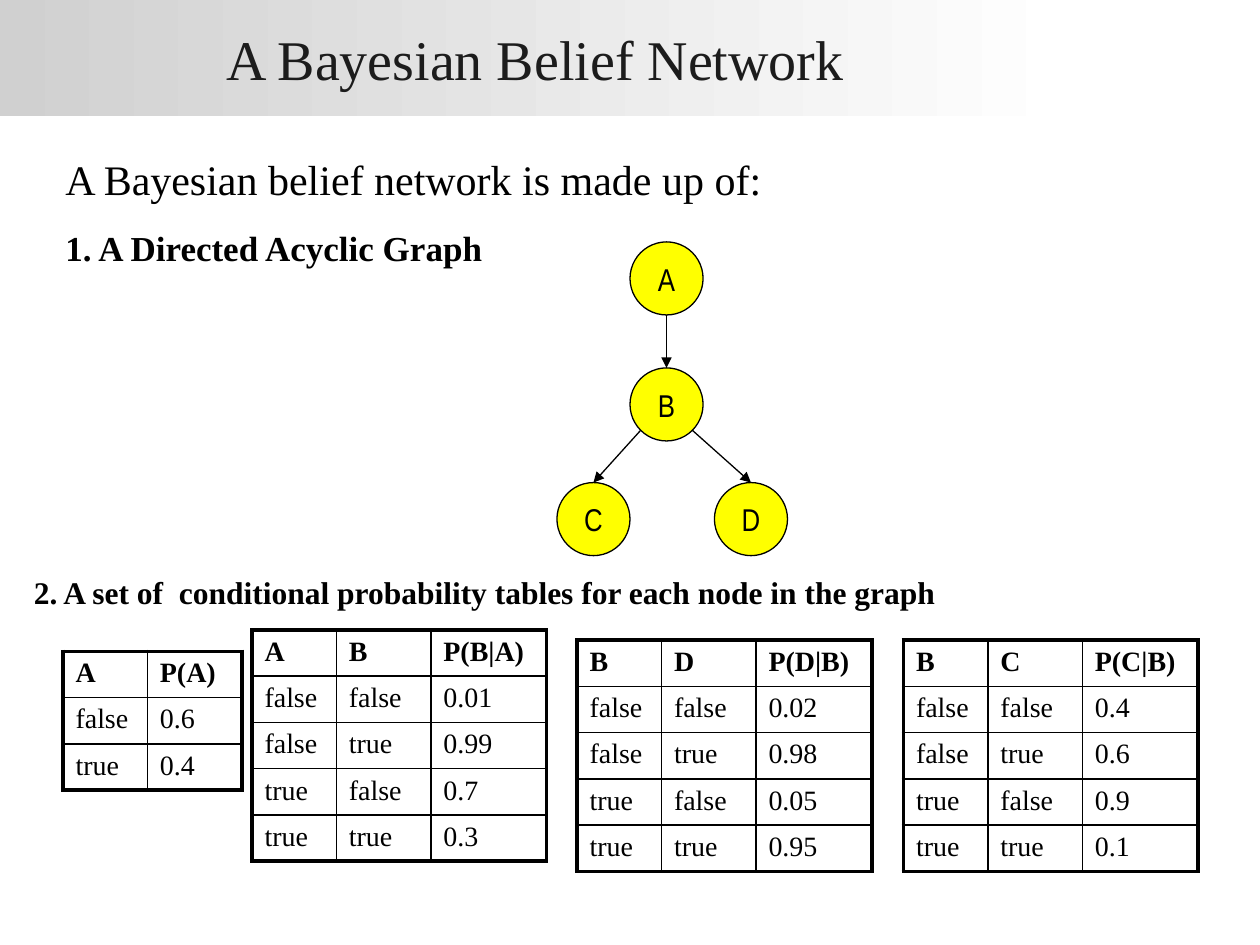
from math import cos, pi

from lxml import etree
from pptx import Presentation
from pptx.dml.color import RGBColor
from pptx.enum.shapes import MSO_CONNECTOR, MSO_SHAPE
from pptx.enum.text import MSO_ANCHOR, PP_ALIGN
from pptx.oxml.ns import qn
from pptx.util import Inches, Pt

LINE, OVAL = MSO_CONNECTOR.STRAIGHT, MSO_SHAPE.OVAL
MIDDLE, CENTER = MSO_ANCHOR.MIDDLE, PP_ALIGN.CENTER

BLACK = RGBColor(0x00, 0x00, 0x00)
WHITE = RGBColor(0xFF, 0xFF, 0xFF)
GREY = RGBColor(0xD0, 0xD0, 0xD0)
INK = RGBColor(0x1C, 0x1C, 0x1C)
YELLOW = RGBColor(0xFF, 0xFF, 0x00)

SERIF, NARROW = "Times New Roman", "Arial Narrow"
NODE = 0.58
COLUMNS = (0.67, 0.75, 0.92)
ROW = 0.35
THICK, THIN = 2.25, 1

NODES = {"A": (5, 1.92), "B": (5, 2.92), "C": (4.42, 3.83), "D": (5.67, 3.83)}
EDGES = [("A", "B", 0), ("B", "C", -1), ("B", "D", 1)]
PARENT_STATES = ("false", "false", "true", "true")
CHILD_STATES = ("false", "true", "false", "true")


def set_text(tf, text, size, color=BLACK, font=SERIF, bold=False, align=None):
    p = tf.paragraphs[0]
    p.alignment = align
    r = p.add_run()
    r.text = text
    formats = {"size": Pt(size), "name": font, "bold": bold}
    for name, value in formats.items():
        setattr(r.font, name, value)
    r.font.color.rgb = color


def set_box(shape, *box):
    for name, value in zip(("left", "top", "width", "height"), box):
        setattr(shape, name, Inches(value))


def add_title(s, text):
    title = s.shapes.title
    set_box(title, 0, 0, 8.5, 0.92)
    title.fill.gradient()
    title.fill.gradient_angle = 0
    for stop, color in zip(title.fill.gradient_stops, (GREY, WHITE)):
        stop.color.rgb = color
    tf = title.text_frame
    tf.vertical_anchor = MIDDLE
    for side, inset in zip(("left", "top", "right", "bottom"), (0.02, 0.01) * 2):
        setattr(tf, f"margin_{side}", Inches(inset))
    set_text(tf, text, 32, INK, align=CENTER)


def add_text(s, text, box, size, bold=False):
    tf = s.shapes.add_textbox(*map(Inches, box)).text_frame
    tf.word_wrap = True
    set_text(tf, text, size, bold=bold)


def add_node(s, name, left, top):
    sp = s.shapes.add_shape(OVAL, *map(Inches, (left, top, NODE, NODE)))
    sp.shadow.inherit = False
    sp.fill.solid()
    sp.fill.fore_color.rgb = YELLOW
    sp.line.color.rgb = BLACK
    sp.line.width = Pt(0.75)
    sp.text_frame.word_wrap = False
    sp.text_frame.vertical_anchor = MIDDLE
    set_text(sp.text_frame, name, 18, font=NARROW, align=CENTER)
    return sp


def add_edge(s, parent, child, side):
    """Arrow from the parent's bottom (side 0) or lower diagonal (-1, 1) to the child's top."""
    radius = parent.width / 2
    reach = radius * cos(pi / 4)
    x = int(parent.left + radius + side * reach)
    y = int(parent.top + radius + (reach if side else radius))
    edge = s.shapes.add_connector(LINE, x, y, x, y)
    edge.end_connect(child, 0)
    edge.line.color.rgb = BLACK
    edge.line.width = Pt(0.75)
    etree.SubElement(edge.line._get_or_add_ln(), qn("a:tailEnd"), type="triangle")
    etree.SubElement(edge._element.spPr, qn("a:effectLst"))


def set_borders(cell, widths):
    tc_pr = cell._tc.get_or_add_tcPr()
    for side, width in widths.items():
        ln = etree.SubElement(tc_pr, qn(f"a:ln{side}"), w=str(Pt(width)))
        fill = etree.SubElement(ln, qn("a:solidFill"))
        etree.SubElement(fill, qn("a:srgbClr"), val=str(BLACK))


def add_probability_table(s, left, top, rows):
    n_rows, n_cols = len(rows), len(rows[0])
    box = (left, top, sum(COLUMNS[:n_cols]), ROW * n_rows)
    table = s.shapes.add_table(n_rows, n_cols, *map(Inches, box)).table
    table.first_row = table.horz_banding = False
    for column, width in zip(table.columns, COLUMNS):
        column.width = Inches(width)
    for i, row in enumerate(rows):
        for j, text in enumerate(row):
            cell = table.cell(i, j)
            outer = {"L": j == 0, "R": j == n_cols - 1, "T": i == 0, "B": i == n_rows - 1}
            set_borders(cell, {k: THICK if edge else THIN for k, edge in outer.items()})
            cell.fill.solid()
            cell.fill.fore_color.rgb = WHITE
            set_text(cell.text_frame, text, 16, bold=i == 0)


def conditional(parent, child, values):
    header = (parent, child, f"P({child}|{parent})")
    return [header, *zip(PARENT_STATES, CHILD_STATES, values)]


def main():
    prs = Presentation()
    prs.slide_width, prs.slide_height = Inches(10), Inches(7.5)
    s = prs.slides.add_slide(prs.slide_layouts[5])

    add_title(s, "A Bayesian Belief Network")
    add_text(s, "A Bayesian belief network is made up of:", (0.42, 1.17, 8.83, 0.58), 24)
    add_text(s, "1. A Directed Acyclic Graph", (0.42, 1.75, 4.17, 0.44), 20, True)
    add_text(s, "2. A set of  conditional probability tables for each node in the graph",
             (0.17, 4.5, 9.83, 0.4), 18, True)

    nodes = {name: add_node(s, name, *at) for name, at in NODES.items()}
    for parent, child, side in EDGES:
        add_edge(s, nodes[parent], nodes[child], side)

    add_probability_table(s, 0.5, 5.17, [("A", "P(A)"), ("false", "0.6"), ("true", "0.4")])
    for left, top, parent, child, values in (
        (2, 5, "A", "B", ("0.01", "0.99", "0.7", "0.3")),
        (4.58, 5.08, "B", "D", ("0.02", "0.98", "0.05", "0.95")),
        (7.17, 5.08, "B", "C", ("0.4", "0.6", "0.9", "0.1")),
    ):
        add_probability_table(s, left, top, conditional(parent, child, values))

    prs.save("out.pptx")


if __name__ == "__main__":
    main()
